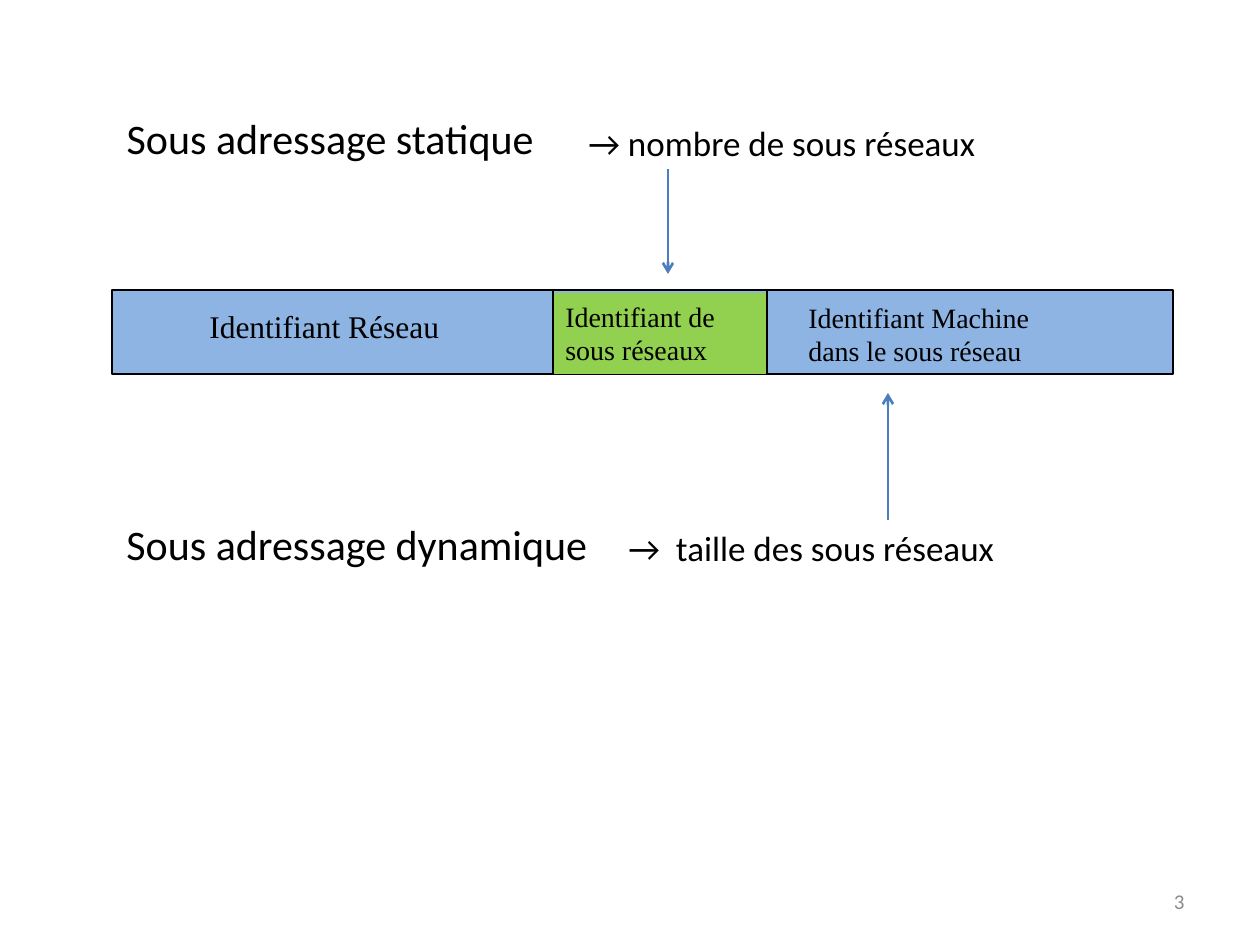
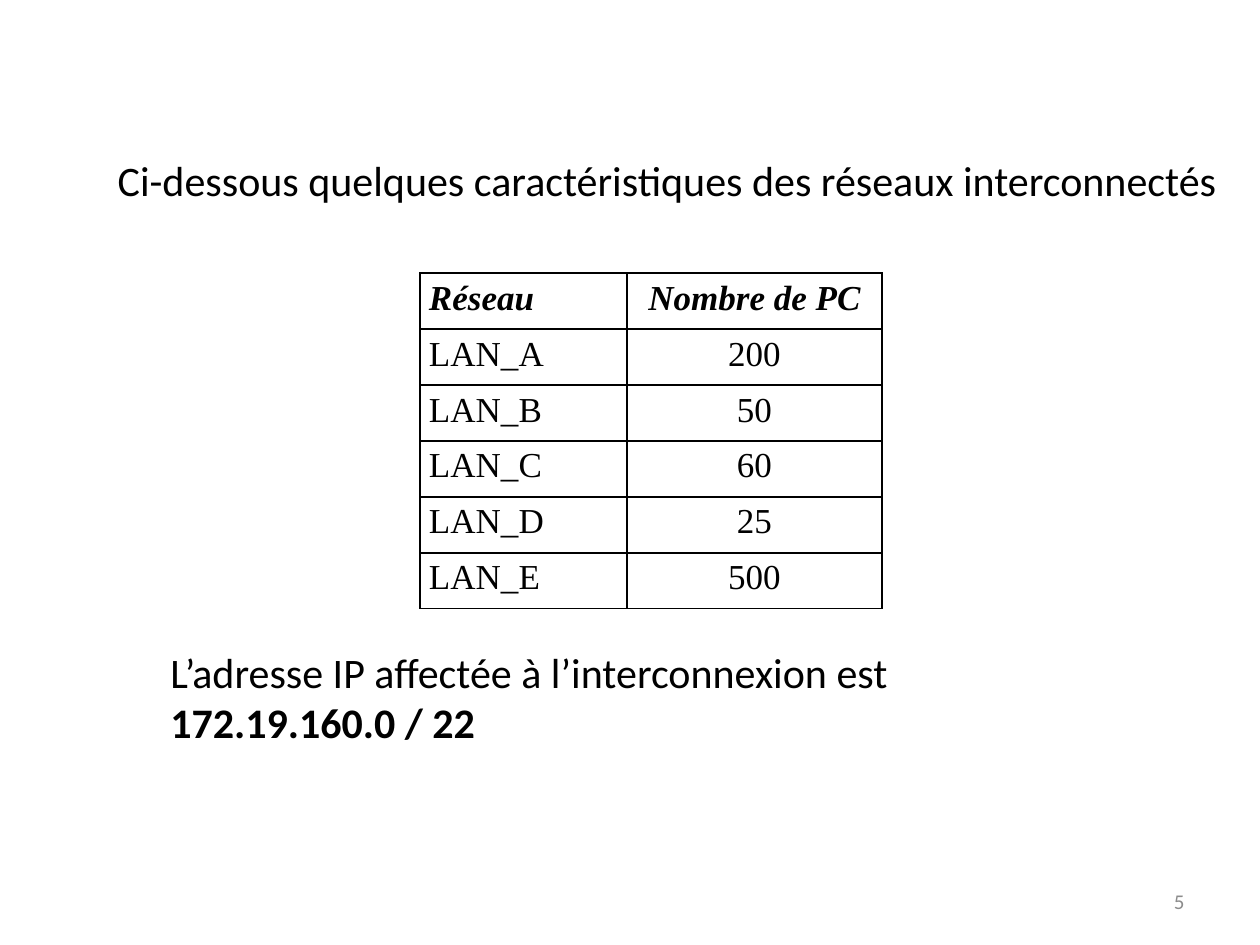
from dataclasses import dataclass

from lxml.etree import SubElement
from pptx import Presentation
from pptx.dml.color import RGBColor
from pptx.enum.shapes import MSO_CONNECTOR, MSO_SHAPE
from pptx.enum.text import MSO_ANCHOR, MSO_AUTO_SIZE, PP_ALIGN
from pptx.oxml.ns import qn
from pptx.util import Emu, Pt

PX = 914400 // 126  # EMU in one pixel
TITLE_ONLY = 5


@dataclass(frozen=True)
class Theme:
    """Colours, fonts and type sizes of the deck."""
    ink: str = "000000"
    grey: str = "8C8C8C"
    blue: str = "8EB4E3"
    green: str = "92D050"
    arrow: str = "4B7EBC"
    sans: str = "Calibri"
    serif: str = "Times New Roman"
    heading: int = 24
    note: int = 20
    field: int = 18
    small: int = 16
    number: int = 12


THEME = Theme()


def px(*lengths):
    """Turn pixels into EMU."""
    return [Emu(n * PX) for n in lengths]


def write(tf, text, size=THEME.heading, font=THEME.sans, color=THEME.ink,
          bold=False, italic=False, align=PP_ALIGN.LEFT, spacing=None, gap=None):
    """Append text to a frame's last paragraph; each newline starts a paragraph."""
    for i, line in enumerate(text.split("\n")):
        p = tf.add_paragraph() if i else tf.paragraphs[-1]
        p.alignment = align
        if spacing:
            p.line_spacing = spacing
        if gap is not None:
            p.space_before = p.space_after = Pt(gap)
        r = p.add_run()
        r.text = line
        r.font.name, r.font.size = font, Pt(size)
        r.font.bold, r.font.italic = bold, italic
        r.font.color.rgb = RGBColor.from_string(color)


class Deck:
    """Holds the theme, the presentation and the current slide."""

    def __init__(self, theme):
        """Start an empty 10 by 7.5 inch presentation."""
        self.theme = theme
        self.prs = Presentation()
        self.prs.slide_width, self.prs.slide_height = px(1260, 945)
        self.slide = None

    def new_slide(self, title, box, number):
        """Add a slide with its title and page number."""
        self.slide = self.prs.slides.add_slide(self.prs.slide_layouts[TITLE_ONLY])
        sp = self.slide.shapes.title
        sp.left, sp.top, sp.width, sp.height = px(*box)
        tf = sp.text_frame
        tf.auto_size, tf.vertical_anchor = MSO_AUTO_SIZE.NONE, MSO_ANCHOR.TOP
        write(tf, title)
        self.text(str(number), (903, 876, 294, 50), anchor=MSO_ANCHOR.MIDDLE,
                  size=self.theme.number, color=self.theme.grey,
                  align=PP_ALIGN.RIGHT)

    def text(self, text, box, anchor=MSO_ANCHOR.TOP, **style):
        """Add a wrapping text box and return its frame."""
        tf = self.slide.shapes.add_textbox(*px(*box)).text_frame
        tf.word_wrap, tf.vertical_anchor = True, anchor
        write(tf, text, **style)
        return tf

    def rect(self, box, fill, outline=None, text="", **style):
        """Add a filled rectangle, optionally outlined and labelled."""
        sp = self.slide.shapes.add_shape(MSO_SHAPE.RECTANGLE, *px(*box))
        sp.shadow.inherit = False
        sp.fill.solid()
        sp.fill.fore_color.rgb = RGBColor.from_string(fill)
        if outline:
            sp.line.color.rgb = RGBColor.from_string(outline)
            sp.line.width = Pt(0.75)
        else:
            sp.line.fill.background()
        if text:
            sp.text_frame.vertical_anchor = MSO_ANCHOR.TOP
            write(sp.text_frame, text, **style)

    def line(self, x, y1, y2, color, width, arrow=False):
        """Add a vertical line from y1 to y2, with an arrowhead at y2 if asked."""
        sp = self.slide.shapes.add_connector(MSO_CONNECTOR.STRAIGHT,
                                             *px(x, y1, x, y2))
        sp.line.color.rgb = RGBColor.from_string(color)
        sp.line.width = Pt(width)
        if arrow:
            SubElement(sp.line._get_or_add_ln(), qn("a:tailEnd"), type="arrow")
        SubElement(sp._element.spPr, qn("a:effectLst"))

    def border(self, cell):
        """Draw a thin line on all four sides of a table cell."""
        tc_pr = cell._tc.get_or_add_tcPr()
        for i, side in enumerate(("lnL", "lnR", "lnT", "lnB")):
            ln = SubElement(tc_pr, qn("a:" + side), w=str(Pt(1)))
            fill = SubElement(ln, qn("a:solidFill"))
            SubElement(fill, qn("a:srgbClr"), val=self.theme.ink)
            tc_pr.remove(ln)
            tc_pr.insert(i, ln)

    def table(self, rows, left, top, widths, row_height):
        """Add a ruled table with a bold italic header row."""
        box = px(left, top, sum(widths), row_height * len(rows))
        table = self.slide.shapes.add_table(len(rows), len(widths), *box).table
        table.first_row = table.horz_banding = False
        for column, width in zip(table.columns, px(*widths)):
            column.width = width
        for i, row in enumerate(rows):
            for j, value in enumerate(row):
                cell = table.cell(i, j)
                cell.margin_left, cell.margin_right = px(9, 9)
                cell.margin_top = cell.margin_bottom = 0
                cell.fill.background()
                self.border(cell)
                write(cell.text_frame, value, size=self.theme.note,
                      font=self.theme.serif, bold=i == 0, italic=i == 0,
                      align=PP_ALIGN.CENTER if j else PP_ALIGN.LEFT,
                      spacing=1.15, gap=3)


def addressing_slide(deck):
    """Show the address fields and the two kinds of subnetting."""
    t = deck.theme
    top, bottom = 290, 374
    subnet, machine = 553, 767
    deck.new_slide("Sous adressage statique", (114, 106, 449, 63), 3)
    deck.text("Sous adressage dynamique", (114, 512, 492, 63))

    deck.rect((112, top, 1061, bottom - top), t.blue, outline=t.ink)
    deck.text("Identifiant Machine\ndans le sous réseau", (796, 294, 250, 80),
              size=t.small, font=t.serif)
    deck.text("Identifiant Réseau", (197, 301, 331, 63),
              size=t.field, font=t.serif)
    deck.rect((subnet, 293, machine - subnet, bottom - 293), t.green,
              text="Identifiant de\nsous réseaux", size=t.small, font=t.serif)
    for x in (subnet, machine):
        deck.line(x, top, bottom, t.ink, 0.75)

    deck.text("→ nombre de sous réseaux", (576, 115, 475, 55), size=t.note)
    deck.line(668, 169, 274, t.arrow, 1.5, arrow=True)
    deck.text("→  taille des sous réseaux", (616, 520, 435, 55), size=t.note)
    deck.line(888, 520, 393, t.arrow, 1.5, arrow=True)


def networks_slide(deck):
    """List the networks with their sizes and the address given."""
    deck.new_slide("Ci-dessous quelques caractéristiques des réseaux interconnectés",
                   (105, 148, 1155, 114), 5)
    rows = [("Réseau", "Nombre de PC"), ("LAN_A", "200"), ("LAN_B", "50"),
            ("LAN_C", "60"), ("LAN_D", "25"), ("LAN_E", "500")]
    deck.table(rows, 420, 273, (207, 255), 56)
    tf = deck.text("L’adresse IP affectée à l’interconnexion est ",
                   (158, 640, 860, 115))
    write(tf, "172.19.160.0 / 22", bold=True)


deck = Deck(THEME)
addressing_slide(deck)
networks_slide(deck)
deck.prs.save("out.pptx")
